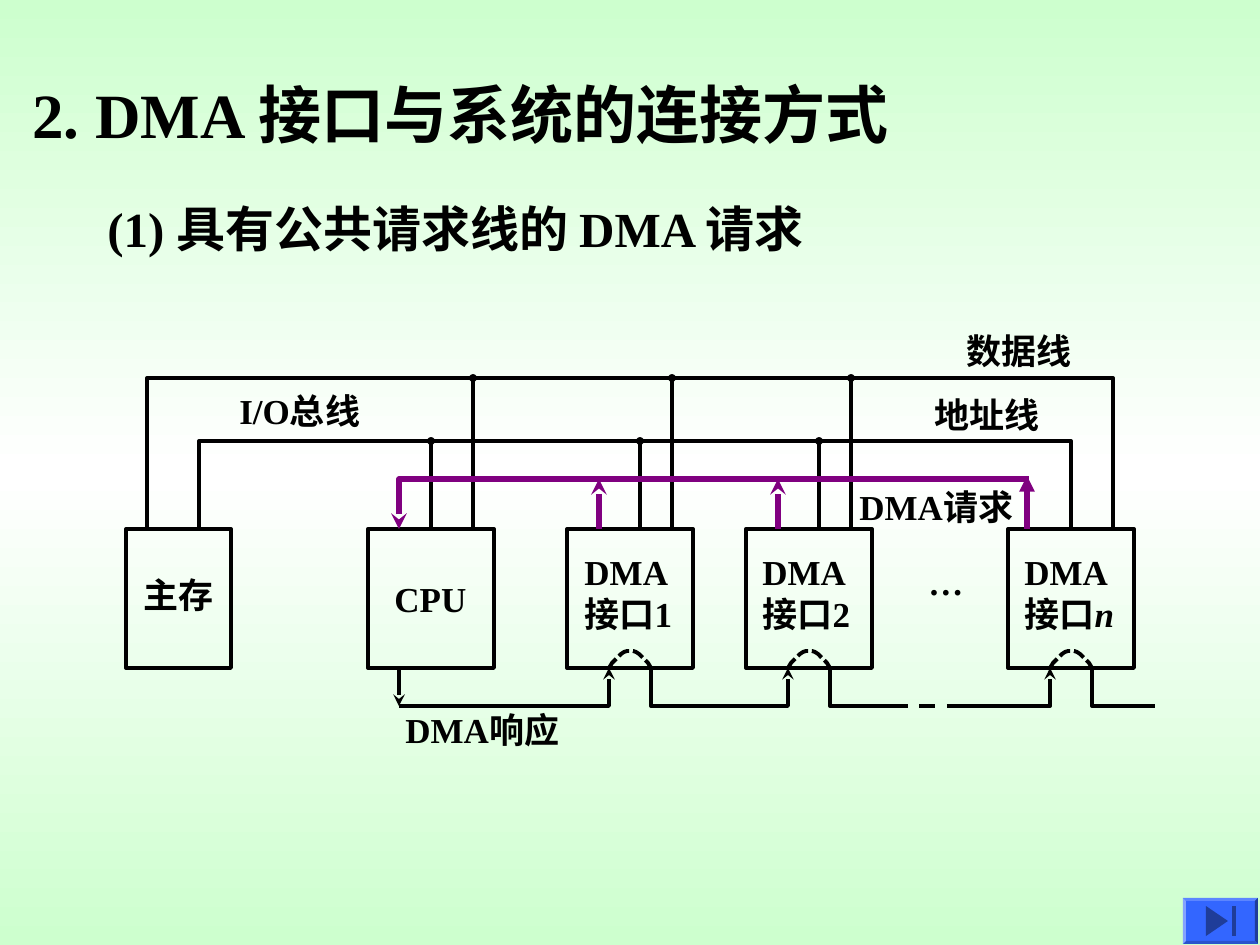
from copy import deepcopy
from dataclasses import dataclass

from lxml.etree import SubElement
from pptx import Presentation
from pptx.dml.color import RGBColor
from pptx.enum.dml import MSO_LINE
from pptx.enum.shapes import MSO_CONNECTOR, MSO_SHAPE
from pptx.enum.text import MSO_AUTO_SIZE
from pptx.oxml.ns import qn
from pptx.util import Emu, Pt

PX = 914400 / 126
COLORS = {
    "ink": "000000",
    "request": "800080",
    "edge": "CDFFCE",
    "middle": "FFFFFF",
    "button": "3366FF",
    "light": "5C85FF",
    "lighter": "84A3FF",
    "dark": "2952CC",
    "darker": "1F3D99",
}
BOX_TOP, BOX_BOTTOM = 529, 668
DATA_Y, ADDRESS_Y, REQUEST_Y, RESPONSE_Y = 378, 441, 479, 706
CPU_LEFT = 368
INTERFACE_LEFTS = (567, 746, 1008)
ENTRY, EXIT = 42, 84  # where the response enters and leaves an interface

Point = tuple[int, int]


@dataclass
class Label:
    text: str
    left: int
    top: int
    width: int
    height: int = 55
    size: int = 20
    italic_ending: str = ""
    wraps: bool = False


@dataclass
class Stroke:
    color: str = "ink"
    width: float = 2.25
    head: str = ""
    head_size: str = "med"
    dash: MSO_LINE | None = None


PLAIN = Stroke()
ARROW = Stroke(head="stealth")
TAP = Stroke(head="oval", head_size="sm")
REQUEST = Stroke("request", 3, "stealth")
LAST_REQUEST = Stroke("request", 3, "triangle")
DASHED = Stroke(dash=MSO_LINE.DASH)
DOTTED = Stroke(dash=MSO_LINE.SQUARE_DOT)

LABELS = (
    Label("2. DMA 接口与系统的连接方式", 20, 69, 900, 88, size=36),
    Label("(1) 具有公共请求线的 DMA 请求", 95, 192, 829, 72, size=28, wraps=True),
    Label("DMA\n接口1", 572, 544, 121, 97),
    Label("DMA\n接口2", 750, 544, 121, 97),
    Label("DMA\n接口", 1012, 544, 123, 97, italic_ending="n"),
    Label("CPU", 382, 571, 97),
    Label("主存", 131, 567, 95),
    Label("…", 916, 554, 60),
    Label("DMA响应", 393, 702, 188),
    Label("I/O总线", 227, 383, 154),
    Label("数据线", 954, 323, 130),
    Label("地址线", 922, 387, 130),
    Label("DMA请求", 847, 479, 188),
)


def px(value: int) -> Emu:
    return Emu(round(value * PX))


def rgb(name: str) -> RGBColor:
    return RGBColor.from_string(COLORS[name])


def paint_background(slide) -> None:
    fill = slide.background.fill
    fill.gradient()
    fill.gradient_angle = 90
    for stop in fill.gradient_stops:
        stop.color.rgb = rgb("edge")
    first = slide.element.find(".//" + qn("a:gsLst"))[0]
    first.addnext(deepcopy(first))
    for stop, name, position in zip(
        fill.gradient_stops, ("edge", "middle", "edge"), (0, 0.5, 1)
    ):
        stop.color.rgb = rgb(name)
        stop.position = position


def add_label(slide, label: Label) -> None:
    box = slide.shapes.add_textbox(
        px(label.left), px(label.top), px(label.width), px(label.height)
    )
    frame = box.text_frame
    frame.word_wrap = label.wraps
    frame.auto_size = MSO_AUTO_SIZE.SHAPE_TO_FIT_TEXT
    frame.text = label.text
    for paragraph in frame.paragraphs:
        font = paragraph.font
        font.name, font.size, font.bold = "Times New Roman", Pt(label.size), True
        font.color.rgb = rgb("ink")
    if label.italic_ending:
        run = frame.paragraphs[-1].add_run()
        run.text = label.italic_ending
        run.font.italic = True


def apply_stroke(shape, stroke: Stroke) -> None:
    shape.line.color.rgb = rgb(stroke.color)
    shape.line.width = Pt(stroke.width)
    if stroke.dash:
        shape.line.dash_style = stroke.dash
    if stroke.head:
        outline = shape.element.spPr.find(qn("a:ln"))
        SubElement(outline, qn("a:tailEnd"), type=stroke.head,
                   w=stroke.head_size, len=stroke.head_size)


def add_line(slide, start: Point, end: Point, stroke: Stroke) -> None:
    line = slide.shapes.add_connector(
        MSO_CONNECTOR.STRAIGHT, *(px(value) for value in start + end)
    )
    apply_stroke(line, stroke)
    SubElement(line.element.spPr, qn("a:effectLst"))


def outline_shape(slide, points: list[Point], close: bool):
    builder = slide.shapes.build_freeform(*points[0], scale=PX)
    builder.add_line_segments(points[1:], close=close)
    shape = builder.convert_to_shape()
    shape.shadow.inherit = False
    return shape


def add_path(slide, points: list[Point], stroke: Stroke) -> None:
    shape = outline_shape(slide, points, close=False)
    shape.fill.background()
    apply_stroke(shape, stroke)


def add_polygon(slide, points: list[Point], color: str) -> None:
    shape = outline_shape(slide, points, close=True)
    shape.fill.solid()
    shape.fill.fore_color.rgb = rgb(color)
    shape.line.fill.background()


def add_box(slide, left: int, width: int = 126) -> None:
    box = slide.shapes.add_shape(
        MSO_SHAPE.RECTANGLE, px(left), px(BOX_TOP), px(width), px(BOX_BOTTOM - BOX_TOP)
    )
    box.shadow.inherit = False
    box.fill.background()
    apply_stroke(box, PLAIN)


def add_pass_through(slide, left: int) -> None:
    """Dotted parabola joining response entry and exit inside an interface."""
    half, height = (EXIT - ENTRY) // 2, 17
    points = [
        (left + ENTRY + half + x, BOX_BOTTOM - round(height * (1 - (x / half) ** 2)))
        for x in range(-half, half + 1, 3)
    ]
    add_path(slide, points, DOTTED)


def add_buses(slide) -> None:
    for left, right, y in ((147, 1113, DATA_Y), (199, 1071, ADDRESS_Y)):
        add_path(slide, [(left, BOX_TOP), (left, y), (right, y), (right, BOX_TOP)], PLAIN)
    for left, address_offset in zip((CPU_LEFT, *INTERFACE_LEFTS[:2]), (63, 73, 73)):
        for offset, y in ((105, DATA_Y), (address_offset, ADDRESS_Y)):
            add_line(slide, (left + offset, BOX_TOP), (left + offset, y), TAP)


def add_requests(slide) -> None:
    add_line(slide, (1027, BOX_TOP), (1027, 476), LAST_REQUEST)
    add_path(slide, [(1029, REQUEST_Y), (399, REQUEST_Y), (399, BOX_TOP)], REQUEST)
    for left in INTERFACE_LEFTS[:2]:
        add_line(slide, (left + 32, BOX_TOP), (left + 32, REQUEST_Y), REQUEST)


def add_responses(slide) -> None:
    first, second, last = INTERFACE_LEFTS
    add_line(slide, (399, BOX_BOTTOM), (399, RESPONSE_Y), ARROW)
    for start, left in ((399, first), (955, last)):
        entry = left + ENTRY
        add_path(slide, [(start, RESPONSE_Y), (entry, RESPONSE_Y), (entry, BOX_BOTTOM)], ARROW)
    start, end = first + EXIT, second + ENTRY
    add_path(slide, [(start, BOX_BOTTOM), (start, RESPONSE_Y),
                     (end, RESPONSE_Y), (end, BOX_BOTTOM)], ARROW)
    for left in (second, last):
        start = left + EXIT
        add_path(slide, [(start, BOX_BOTTOM), (start, RESPONSE_Y),
                         (start + 63, RESPONSE_Y)], PLAIN)
    add_line(slide, (892, RESPONSE_Y), (955, RESPONSE_Y), DASHED)


def corners(left: int, top: int, right: int, bottom: int) -> list[Point]:
    return [(left, top), (right, top), (right, bottom), (left, bottom)]


def add_end_button(slide) -> None:
    outer, inner = corners(1183, 898, 1258, 944), corners(1186, 901, 1255, 941)
    add_polygon(slide, outer, "button")
    for side, color in enumerate(("light", "darker", "dark", "lighter")):
        after = (side + 1) % 4
        add_polygon(slide, [outer[side], outer[after], inner[after], inner[side]], color)
    add_polygon(slide, [(1228, 921), (1206, 936), (1206, 906)], "darker")
    add_polygon(slide, corners(1232, 906, 1236, 936), "darker")


def main() -> None:
    presentation = Presentation()
    presentation.slide_width, presentation.slide_height = px(1260), px(945)
    slide = presentation.slides.add_slide(presentation.slide_layouts[6])
    paint_background(slide)
    add_box(slide, 126, 105)
    for left in (CPU_LEFT, *INTERFACE_LEFTS):
        add_box(slide, left)
    for left in INTERFACE_LEFTS:
        add_pass_through(slide, left)
    add_responses(slide)
    add_buses(slide)
    add_requests(slide)
    for label in LABELS:
        add_label(slide, label)
    add_end_button(slide)
    presentation.save("out.pptx")


if __name__ == "__main__":
    main()
